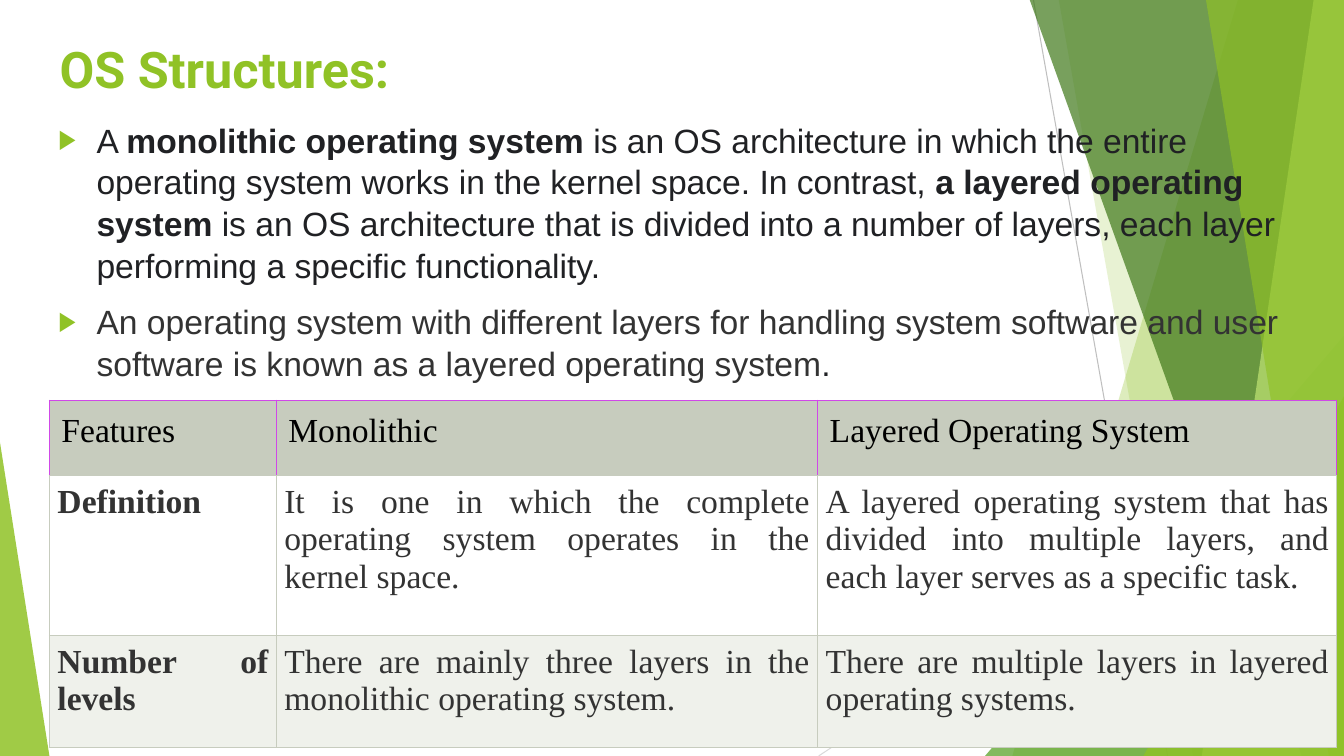
from lxml import etree
from pptx import Presentation
from pptx.dml.color import RGBColor
from pptx.enum import shapes, text
from pptx.oxml import ns
from pptx.util import Inches, Pt

LIME = RGBColor(0x90, 0xC2, 0x26)
GREEN = RGBColor(0x54, 0xA0, 0x21)
FOREST = RGBColor(0x3F, 0x78, 0x19)
PALE_LIME = RGBColor(0xC0, 0xE4, 0x74)
SILVER = RGBColor(0xBF, 0xBF, 0xBF)
LIGHT_GREY = RGBColor(0xD9, 0xD9, 0xD9)
INK = RGBColor(0x20, 0x21, 0x24)
CHARCOAL = RGBColor(0x33, 0x33, 0x33)
BLACK = RGBColor(0, 0, 0)
WHITE = RGBColor(0xFF, 0xFF, 0xFF)
SAGE = RGBColor(0xC7, 0xCC, 0xBE)
MIST = RGBColor(0xEF, 0xF1, 0xEB)
VIOLET = RGBColor(0xD0, 0x48, 0xE8)


def add_node(parent, tag, **attributes):
    return etree.SubElement(parent, ns.qn(tag), attributes)


def add_span(para, words, font, size, color, bold=False):
    span = para.add_run()
    span.text = words
    for name, value in {"name": font, "size": Pt(size), "bold": bold}.items():
        setattr(span.font, name, value)
    span.font.color.rgb = color


deck = Presentation()
deck.slide_width, deck.slide_height = Inches(13.33), Inches(7.5)
page = deck.slides.add_slide(deck.slide_layouts[5])

for start_x, start_y, end_x, end_y, color in [
    (10.25, 0, 11.58, 7.5, SILVER),
    (13.33, 4.03, 8.12, 7.5, LIGHT_GREY),
]:
    ray = page.shapes.add_connector(
        shapes.MSO_CONNECTOR.STRAIGHT,
        Inches(start_x), Inches(start_y), Inches(end_x), Inches(end_y))
    ray.line.color.rgb = color
    ray.line.width = Pt(0.75)
    add_node(ray._element.spPr, "a:effectLst")

facets = [
    ("band", (12.28, 10.04), LIME, 30),
    ("band", (10.5, 11.83), LIME, 20),
    ("triangle", (9.77, 3.33, 3.56, 4.17, 1), GREEN, 72),
    ("band", (10.21, 12.91), FOREST, 70),
    ("band", (13.03, 11.92), PALE_LIME, 70),
    ("band", (11.96, 13.18), LIME, 65),
    ("triangle", (11.34, 3.93, 1.99, 3.57, 1), LIME, 80),
    ("triangle", (0, 4.39, 0.49, 3.11, 0), LIME, 85),
]
for kind, geometry, color, opacity in facets:
    if kind == "band":
        top_x, bottom_x = geometry
        outline = page.shapes.build_freeform(Inches(top_x), Inches(-0.01))
        corners = [(13.33, -0.01), (13.33, 7.5), (bottom_x, 7.5)]
        outline.add_line_segments([(Inches(x), Inches(y)) for x, y in corners])
        facet = outline.convert_to_shape()
    else:
        *frame, apex = geometry
        facet = page.shapes.add_shape(
            shapes.MSO_SHAPE.ISOSCELES_TRIANGLE, *map(Inches, frame))
        facet.adjustments[0] = apex
    facet.shadow.inherit = False
    facet.line.fill.background()
    facet.fill.solid()
    facet.fill.fore_color.rgb = color
    paint = facet._element.spPr.find(ns.qn("a:solidFill"))[0]
    add_node(paint, "a:alpha", val=str(opacity * 1000))

title = page.shapes.title
for name, value in {"left": 0.49, "top": 0.3, "width": 9.4, "height": 0.61}.items():
    setattr(title, name, Inches(value))
for name, value in {
    "vertical_anchor": text.MSO_ANCHOR.TOP,
    "auto_size": text.MSO_AUTO_SIZE.NONE,
    "margin_top": Inches(0.08),
}.items():
    setattr(title.text_frame, name, value)
title_para = title.text_frame.paragraphs[0]
title_para.alignment = text.PP_ALIGN.LEFT
add_span(title_para, "OS Structures:", "Roboto", 36, LIME, True)

points = [
    [
        ("A ", INK, False),
        ("monolithic operating system ", INK, True),
        ("is an OS architecture in which the entire operating system works in the "
         "kernel space. In contrast, ", INK, False),
        ("a layered operating system ", INK, True),
        ("is an OS architecture that is divided into a number of layers, each layer "
         "performing a specific functionality.", INK, False),
    ],
    [
        ("An operating system with different layers for handling system software and "
         "user software is known as a layered operating system", CHARCOAL, False),
        (".", INK, False),
    ],
]
box = page.shapes.add_textbox(Inches(0.48), Inches(1.12), Inches(12.37), Inches(6.08))
box.text_frame.word_wrap = True
for index, spans in enumerate(points):
    para = box.text_frame.add_paragraph() if index else box.text_frame.paragraphs[0]
    para.space_before = Pt(10)
    para.line_spacing = 1.04
    for words, color, bold in spans:
        add_span(para, words, "Arial", 24, color, bold)
    props = para._p.get_or_add_pPr()
    props.set("marL", str(Inches(0.38)))
    props.set("indent", str(Inches(-0.38)))
    add_node(add_node(props, "a:buClr"), "a:srgbClr", val=str(LIME))
    add_node(props, "a:buSzPct", val="80000")
    add_node(props, "a:buFont", typeface="Arial")
    add_node(props, "a:buChar", char="▶")

rows = [
    ["Features", "Monolithic", "Layered Operating System"],
    ["Definition",
     "It is one in which the complete operating system operates in the kernel space.",
     "A layered operating system that has divided into multiple layers, and each layer "
     "serves as a specific task."],
    ["Number of levels",
     "There are mainly three layers in the monolithic operating system.",
     "There are multiple layers in layered operating systems."],
]
row_fills = [SAGE, WHITE, MIST]
table = page.shapes.add_table(
    3, 3, Inches(0.49), Inches(3.97), Inches(12.77), Inches(3.45)).table
for column, width in zip(table.columns, [2.25, 5.37, 5.15]):
    column.width = Inches(width)
for row, height in zip(table.rows, [0.75, 1.58, 1.12]):
    row.height = Inches(height)

for row_index, (labels, fill) in enumerate(zip(rows, row_fills)):
    header = row_index == 0
    for column_index, label in enumerate(labels):
        cell = table.cell(row_index, column_index)
        for side in ("left", "right", "top", "bottom"):
            setattr(cell, f"margin_{side}", Inches(0.12 if header else 0.08))
        para = cell.text_frame.paragraphs[0]
        para.alignment = text.PP_ALIGN.LEFT if header else text.PP_ALIGN.JUSTIFY
        add_span(para, label, "Times New Roman", 24, BLACK if header else CHARCOAL,
                 not header and column_index == 0)
        props = cell._tc.get_or_add_tcPr()
        for edge in ("L", "R", "T", "B"):
            color = VIOLET if header and edge != "B" else SAGE
            border = add_node(props, f"a:ln{edge}", w=str(Pt(0.75)))
            add_node(add_node(border, "a:solidFill"), "a:srgbClr", val=str(color))
        cell.fill.solid()
        cell.fill.fore_color.rgb = fill

deck.save("out.pptx")
